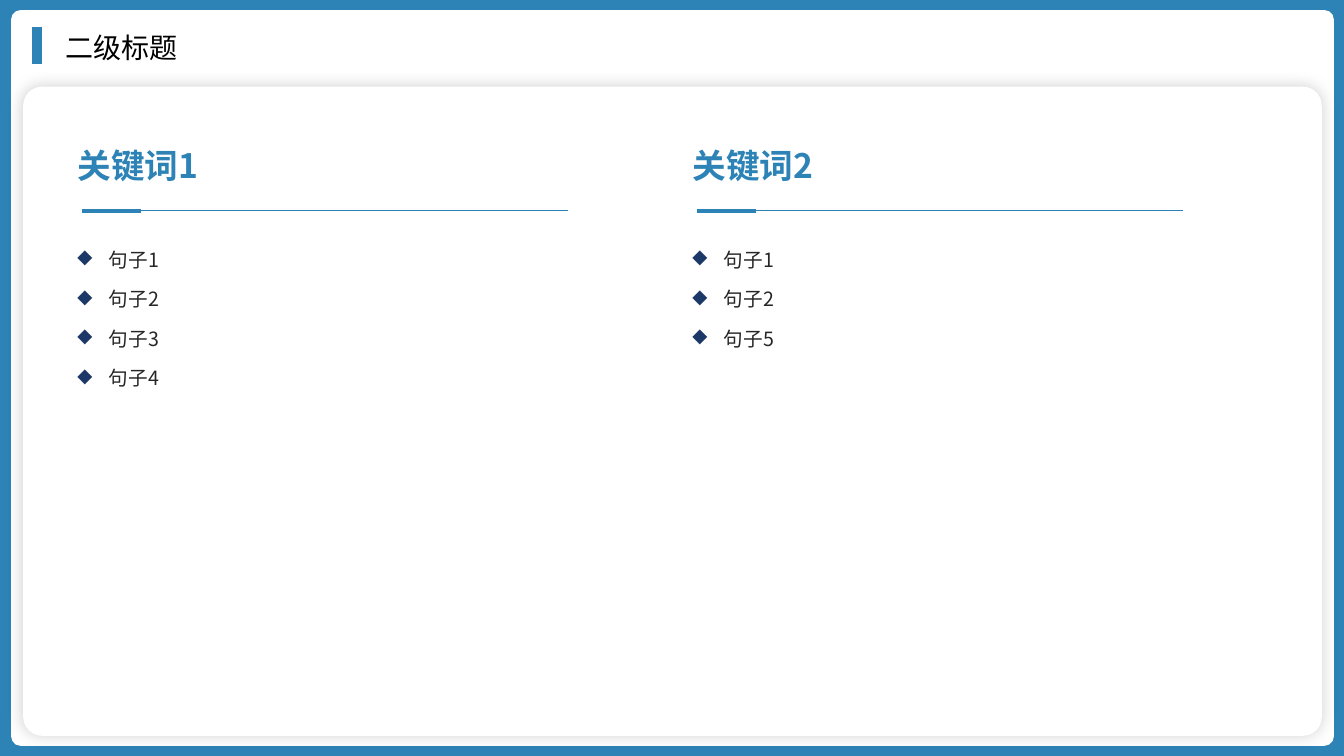
import dataclasses

import lxml.etree
import pptx
import pptx.dml.color
import pptx.enum.shapes
import pptx.enum.text
import pptx.oxml.ns
import pptx.util

Inches = pptx.util.Inches
Pt = pptx.util.Pt
qn = pptx.oxml.ns.qn


@dataclasses.dataclass(frozen=True)
class Theme:
    blue: str = "2D83B6"
    navy: str = "1B3868"
    white: str = "FFFFFF"
    black: str = "000000"
    body: str = "262626"
    title_font: str = "Roboto"
    body_font: str = "Noto Sans CJK SC"
    title_size: int = 20
    keyword_size: int = 24
    sentence_size: int = 14


THEME = Theme()
COLUMNS = [
    (0.67, "关键词1", ["句子1", "句子2", "句子3", "句子4"]),
    (6.77, "关键词2", ["句子1", "句子2", "句子5"]),
]


def rgb(value):
    return pptx.dml.color.RGBColor.from_string(value)


def apply_format(target, values):
    for name, value in values.items():
        setattr(target, name, value)


def add_panel(slide, box, color, radius=None):
    kinds = pptx.enum.shapes.MSO_SHAPE
    kind = kinds.RECTANGLE if radius is None else kinds.ROUNDED_RECTANGLE
    shape = slide.shapes.add_shape(kind, *map(Inches, box))
    if radius is not None:
        shape.adjustments[0] = radius
    shape.shadow.inherit = False
    shape.fill.solid()
    shape.fill.fore_color.rgb = rgb(color)
    shape.line.fill.background()
    return shape


def add_soft_shadow(shape, blur, opacity):
    effects = shape._element.spPr.find(qn("a:effectLst"))
    shadow = lxml.etree.SubElement(
        effects, qn("a:outerShdw"), blurRad=str(Pt(blur)), dist="0", dir="0",
        algn="ctr", rotWithShape="0")
    color = lxml.etree.SubElement(shadow, qn("a:srgbClr"), val=THEME.black)
    lxml.etree.SubElement(color, qn("a:alpha"), val=str(opacity * 1000))


def add_rule(slide, start, end, width):
    connector = slide.shapes.add_connector(
        pptx.enum.shapes.MSO_CONNECTOR.STRAIGHT, *map(Inches, start + end))
    connector.line.color.rgb = rgb(THEME.blue)
    connector.line.width = Pt(width)
    lxml.etree.SubElement(connector._element.spPr, qn("a:effectLst"))


def add_diamond_bullet(paragraph):
    properties = paragraph._p.get_or_add_pPr()
    properties.set("marL", str(Inches(0.31)))
    properties.set("indent", str(Inches(-0.31)))
    color = lxml.etree.SubElement(properties, qn("a:buClr"))
    lxml.etree.SubElement(color, qn("a:srgbClr"), val=THEME.navy)
    lxml.etree.SubElement(properties, qn("a:buChar"), char="◆")
    apply_format(paragraph, {"line_spacing": 1.5, "space_after": Pt(3)})


def add_text(slide, box, lines, size, color, font=THEME.body_font,
             bold=False, bulleted=False):
    frame = slide.shapes.add_textbox(*map(Inches, box)).text_frame
    apply_format(frame, {
        "word_wrap": True,
        "auto_size": pptx.enum.text.MSO_AUTO_SIZE.SHAPE_TO_FIT_TEXT,
    })
    for index, line in enumerate(lines):
        paragraph = frame.add_paragraph() if index else frame.paragraphs[0]
        if bulleted:
            add_diamond_bullet(paragraph)
        run = paragraph.add_run()
        run.text = line
        apply_format(run.font, {"size": Pt(size), "bold": bold, "name": font})
        run.font.color.rgb = rgb(color)
        lxml.etree.SubElement(run._r.get_or_add_rPr(), qn("a:ea"), typeface=font)


def add_background(slide):
    add_panel(slide, (0, 0, 13.33, 7.5), THEME.blue)
    add_panel(slide, (0.11, 0.1, 13.12, 7.3), THEME.white, 0.013)
    card = add_panel(slide, (0.23, 0.86, 12.88, 6.44), THEME.white, 0.029)
    add_soft_shadow(card, 11, 18)


def add_keyword_column(slide, left, keyword, sentences):
    rule_left, rule_top = left + 0.14, 2.09
    add_text(slide, (left, 1.39, 3.55, 0.5), [keyword], THEME.keyword_size,
             THEME.blue, bold=True)
    for length, width in ((4.82, 1), (0.59, 3)):
        add_rule(slide, (rule_left, rule_top), (rule_left + length, rule_top), width)
    height = 0.04 + 0.4 * len(sentences)
    add_text(slide, (left, 2.29, 5.43, height), sentences, THEME.sentence_size,
             THEME.body, bulleted=True)


def add_title(slide, title):
    add_rule(slide, (0.37, 0.27), (0.37, 0.64), 7.25)
    add_text(slide, (0.55, 0.25, 12.42, 0.44), [title], THEME.title_size,
             THEME.black, font=THEME.title_font)


def main():
    presentation = pptx.Presentation()
    apply_format(presentation, {
        "slide_width": Inches(13.33), "slide_height": Inches(7.5),
    })
    slide = presentation.slides.add_slide(presentation.slide_layouts[6])
    add_background(slide)
    for left, keyword, sentences in COLUMNS:
        add_keyword_column(slide, left, keyword, sentences)
    add_title(slide, "二级标题")
    presentation.save("out.pptx")


if __name__ == "__main__":
    main()
